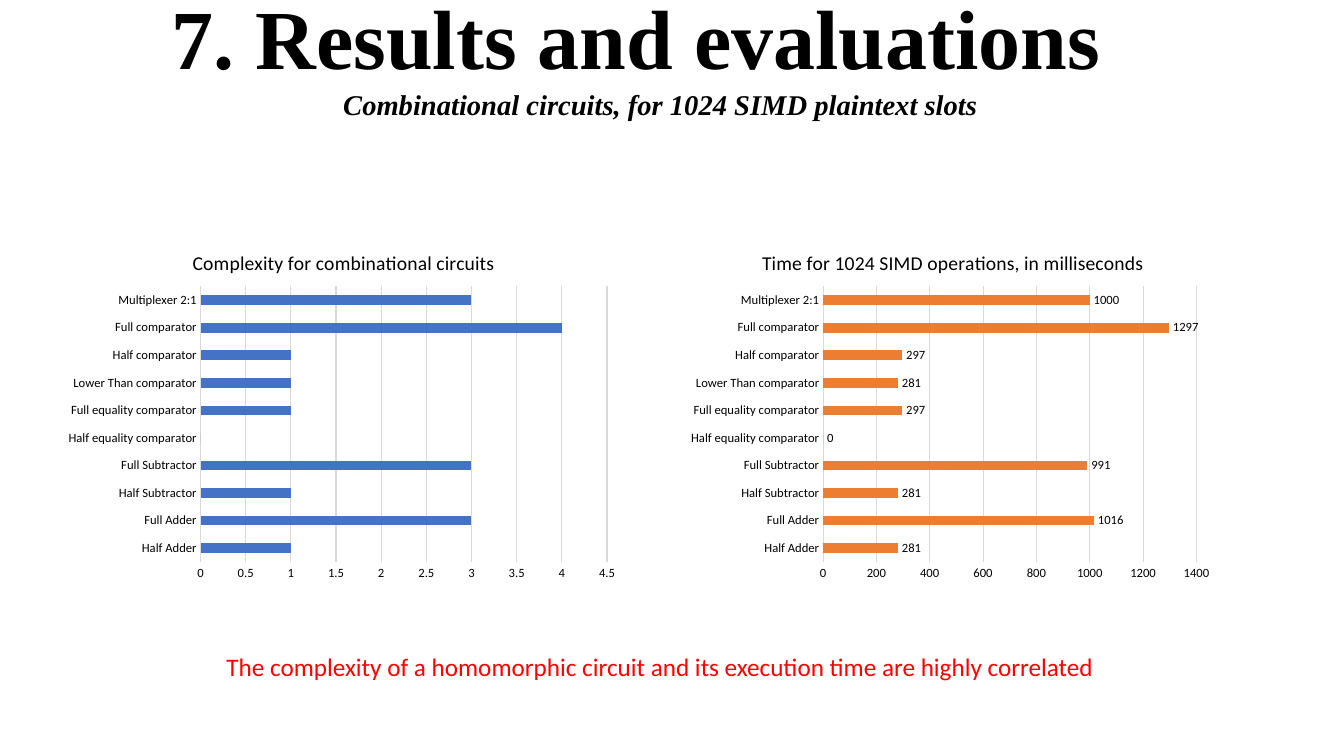
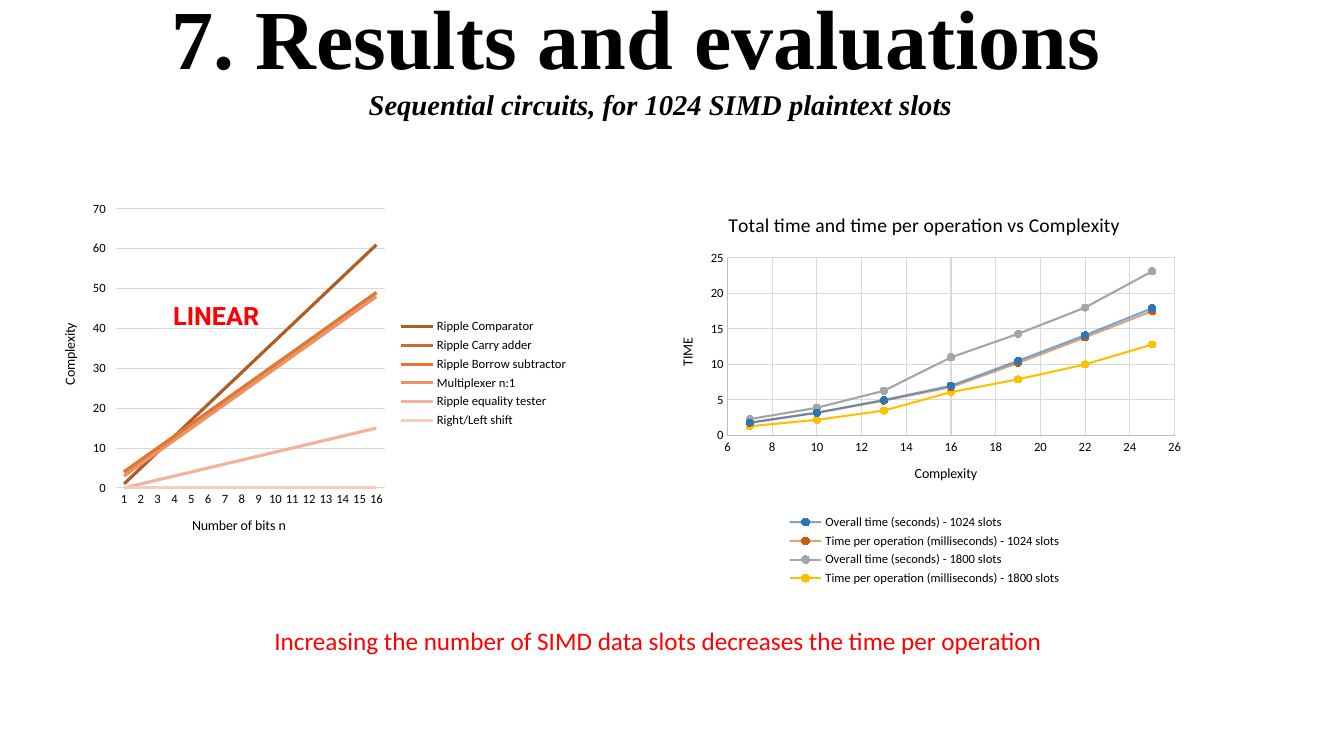
from dataclasses import dataclass
from typing import Optional

import pptx
import pptx.chart.axis
import pptx.chart.chart
import pptx.chart.data
import pptx.dml.color
import pptx.dml.line
import pptx.enum.chart
import pptx.enum.text
import pptx.oxml
import pptx.oxml.ns
import pptx.slide
import pptx.text.text
import pptx.util

Pt = pptx.util.Pt
RGBColor = pptx.dml.color.RGBColor
ChartType = pptx.enum.chart.XL_CHART_TYPE
Tick = pptx.enum.chart.XL_TICK_MARK
Legend = pptx.enum.chart.XL_LEGEND_POSITION
Align = pptx.enum.text.PP_ALIGN
Anchor = pptx.enum.text.MSO_ANCHOR

BLACK = RGBColor(0x00, 0x00, 0x00)
RED = RGBColor(0xFF, 0x00, 0x00)
GRID = RGBColor(0xD9, 0xD9, 0xD9)
AXIS = RGBColor(0xBF, 0xBF, 0xBF)
BLUE = RGBColor(0x44, 0x72, 0xC4)
ORANGE = RGBColor(0xED, 0x7D, 0x31)
SEA = RGBColor(0x2E, 0x75, 0xB6)
RUST = RGBColor(0xC5, 0x5A, 0x11)
GREY = RGBColor(0xA5, 0xA5, 0xA5)
GOLD = RGBColor(0xFF, 0xC0, 0x00)
COPPER_SHADES = [
    RGBColor(0xAF, 0x5C, 0x24), RGBColor(0xCB, 0x6B, 0x2A), RGBColor(0xE2, 0x77, 0x2F),
    RGBColor(0xEF, 0x91, 0x66), RGBColor(0xF3, 0xB2, 0x9A), RGBColor(0xF6, 0xCC, 0xBE),
]

BODY_FONT = "Calibri"
HEADING_FONT = "Times New Roman"
HEADING = "7. Results and evaluations"
CIRCUITS = [
    "Half Adder", "Full Adder", "Half Subtractor", "Full Subtractor",
    "Half equality comparator", "Full equality comparator", "Lower Than comparator",
    "Half comparator", "Full comparator", "Multiplexer 2:1",
]
BITS = range(1, 17)
COMPLEXITIES = range(7, 26, 3)


@dataclass(frozen=True)
class Box:
    left: float
    top: float
    width: float
    height: float

    def lengths(self) -> tuple:
        return Pt(self.left), Pt(self.top), Pt(self.width), Pt(self.height)


@dataclass(frozen=True)
class TextStyle:
    size: float
    font: str = BODY_FONT
    color: RGBColor = BLACK
    bold: bool = False
    italic: bool = False
    align: Align = Align.CENTER
    anchor: Anchor = Anchor.TOP
    spacing: float = 1.0


@dataclass(frozen=True)
class Scale:
    low: float
    high: float
    step: float


@dataclass(frozen=True)
class Measure:
    name: str
    values: list
    color: RGBColor
    opacity: int = 100


@dataclass(frozen=True)
class ChartPlan:
    kind: ChartType
    box: Box
    plot_box: Box
    measures: list
    value_scale: Scale
    title: Optional[str] = None
    category_title: Optional[str] = None
    value_title: Optional[str] = None
    legend: Optional[Legend] = None
    labelled: bool = False


HEADING_STYLE = TextStyle(60, HEADING_FONT, bold=True, anchor=Anchor.BOTTOM, spacing=0.9)
SUBTITLE_STYLE = TextStyle(20.4, HEADING_FONT, bold=True, italic=True,
                           anchor=Anchor.BOTTOM, spacing=0.7)
FINDING_STYLE = TextStyle(18, color=RED)
TREND_STYLE = TextStyle(18, "Roboto", RED, bold=True, align=Align.LEFT)
CHART_TITLE_STYLE = TextStyle(14)
AXIS_TITLE_STYLE = TextStyle(10)


def style_font(font: pptx.text.text.Font, style: TextStyle) -> None:
    font.name = style.font
    font.size = Pt(style.size)
    font.bold = style.bold
    font.italic = style.italic
    font.color.rgb = style.color


def write(frame: pptx.text.text.TextFrame, text: str, style: TextStyle) -> None:
    frame.text = text
    paragraph = frame.paragraphs[0]
    paragraph.alignment = style.align
    paragraph.line_spacing = style.spacing
    style_font(paragraph.runs[0].font, style)


def fill_frame(frame: pptx.text.text.TextFrame, text: str, style: TextStyle) -> None:
    frame.auto_size = pptx.enum.text.MSO_AUTO_SIZE.NONE
    frame.word_wrap = True
    frame.vertical_anchor = style.anchor
    write(frame, text, style)


def add_text(slide: pptx.slide.Slide, box: Box, text: str, style: TextStyle) -> None:
    fill_frame(slide.shapes.add_textbox(*box.lengths()).text_frame, text, style)


def style_line(line: pptx.dml.line.LineFormat, color: RGBColor, width: float) -> None:
    line.color.rgb = color
    line.width = Pt(width)


def style_axis(axis: pptx.chart.axis._BaseAxis, title: Optional[str], grid: bool,
               line_color: Optional[RGBColor], scale: Optional[Scale]) -> None:
    axis.major_tick_mark = axis.minor_tick_mark = Tick.NONE
    style_font(axis.tick_labels.font, TextStyle(9))
    axis.has_major_gridlines = grid
    if grid:
        style_line(axis.major_gridlines.format.line, GRID, 0.75)
    if line_color is None:
        axis.format.line.fill.background()
    else:
        style_line(axis.format.line, line_color, 0.75)
    if scale:
        axis.minimum_scale, axis.maximum_scale = scale.low, scale.high
        axis.major_unit = scale.step
    axis.has_title = title is not None
    if title:
        write(axis.axis_title.text_frame, title, AXIS_TITLE_STYLE)


def place_plot(chart: pptx.chart.chart.Chart, box: Box) -> None:
    plot_area = chart.element.xpath("//c:plotArea")[0]
    for layout in plot_area.xpath("c:layout"):
        plot_area.remove(layout)
    plot_area.insert(0, pptx.oxml.parse_xml(
        f'<c:layout {pptx.oxml.ns.nsdecls("c")}><c:manualLayout><c:layoutTarget val="inner"/>'
        f'<c:xMode val="edge"/><c:yMode val="edge"/><c:x val="{box.left}"/><c:y val="{box.top}"/>'
        f'<c:w val="{box.width}"/><c:h val="{box.height}"/></c:manualLayout></c:layout>'))


def style_measures(chart: pptx.chart.chart.Chart, plan: ChartPlan) -> None:
    for measure, series in zip(plan.measures, chart.plots[0].series):
        if plan.kind == ChartType.BAR_CLUSTERED:
            series.format.fill.solid()
            series.format.fill.fore_color.rgb = measure.color
        elif plan.kind == ChartType.LINE:
            style_line(series.format.line, measure.color, 2.25)
            series.smooth = False
        else:
            style_line(series.format.line, measure.color, 1.5)
            series.marker.style = pptx.enum.chart.XL_MARKER_STYLE.CIRCLE
            series.marker.size = 5
            series.marker.format.fill.solid()
            series.marker.format.fill.fore_color.rgb = measure.color
            style_line(series.marker.format.line, measure.color, 0.75)
    line_colors = chart.element.xpath("//c:ser/c:spPr/a:ln//a:srgbClr")
    for measure, line_color in zip(plan.measures, line_colors):
        if measure.opacity < 100:
            alpha = line_color.makeelement(pptx.oxml.ns.qn("a:alpha"),
                                           {"val": str(measure.opacity * 1000)})
            line_color.append(alpha)


def chart_data(plan: ChartPlan) -> pptx.chart.data._BaseChartData:
    if plan.kind == ChartType.XY_SCATTER_LINES:
        data = pptx.chart.data.XyChartData()
        for measure in plan.measures:
            points = data.add_series(measure.name)
            for complexity, time in zip(COMPLEXITIES, measure.values):
                points.add_data_point(complexity, time)
        return data
    data = pptx.chart.data.CategoryChartData()
    data.categories = CIRCUITS if plan.kind == ChartType.BAR_CLUSTERED else map(str, BITS)
    for measure in plan.measures:
        data.add_series(measure.name, measure.values)
    return data


def add_chart(slide: pptx.slide.Slide, plan: ChartPlan) -> None:
    chart = slide.shapes.add_chart(plan.kind, *plan.box.lengths(), chart_data(plan)).chart
    style_font(chart.font, TextStyle(10))
    chart.has_title = plan.title is not None
    if plan.title:
        write(chart.chart_title.text_frame, plan.title, CHART_TITLE_STYLE)
    chart.has_legend = plan.legend is not None
    if plan.legend is not None:
        chart.legend.position = plan.legend
        chart.legend.include_in_layout = False
        style_font(chart.legend.font, TextStyle(9))

    scatter = plan.kind == ChartType.XY_SCATTER_LINES
    style_axis(chart.category_axis, plan.category_title, scatter, AXIS if scatter else GRID,
               Scale(6, 26, 2) if scatter else None)
    style_axis(chart.value_axis, plan.value_title, True, AXIS if scatter else None,
               plan.value_scale)
    if plan.value_title:
        turned = chart.value_axis.axis_title.element.xpath(".//a:bodyPr")[0]
        turned.set("rot", "-5400000")
        turned.set("vert", "horz")
    if plan.kind == ChartType.LINE:
        chart.value_axis.major_tick_mark = Tick.OUTSIDE

    plot = chart.plots[0]
    plot.vary_by_categories = False
    if plan.kind == ChartType.BAR_CLUSTERED:
        plot.gap_width = 182
    if plan.labelled:
        plot.has_data_labels = True
        plot.data_labels.show_value = True
        plot.data_labels.position = pptx.enum.chart.XL_LABEL_POSITION.OUTSIDE_END
        style_font(plot.data_labels.font, TextStyle(9))
    style_measures(chart, plan)
    place_plot(chart, plan.plot_box)


def add_results_slide(deck, subtitle: str, plans: list, finding: str,
                      finding_box: Box) -> pptx.slide.Slide:
    slide = deck.slides.add_slide(deck.slide_layouts[5])
    heading = slide.shapes.title
    heading.left, heading.top, heading.width, heading.height = Box(0, -9.4, 908.6, 75.6).lengths()
    fill_frame(heading.text_frame, HEADING, HEADING_STYLE)
    add_text(slide, Box(198, 63.4, 547.2, 25.9), subtitle, SUBTITLE_STYLE)
    for plan in plans:
        add_chart(slide, plan)
    add_text(slide, finding_box, finding, FINDING_STYLE)
    return slide


COMBINATIONAL = [
    ChartPlan(ChartType.BAR_CLUSTERED, Box(487.4, 166.3, 386.6, 255.6),
              Box(0.26, 0.15, 0.69, 0.77),
              [Measure("Series 1", [281, 1016, 281, 991, 0, 297, 281, 297, 1297, 1000], ORANGE)],
              Scale(0, 1400, 200), "Time for 1024 SIMD operations, in milliseconds",
              labelled=True),
    ChartPlan(ChartType.BAR_CLUSTERED, Box(41, 166.3, 409, 255.6),
              Box(0.25, 0.15, 0.71, 0.77),
              [Measure("Series 1", [1, 3, 1, 3, 0, 1, 1, 1, 4, 3], BLUE)],
              Scale(0, 4.5, 0.5), "Complexity for combinational circuits"),
]
GROWTH = [
    ("Ripple Comparator", 4, -3), ("Ripple Carry adder", 3, 1),
    ("Ripple Borrow subtractor", 3, 1), ("Multiplexer n:1", 3, 0),
    ("Ripple equality tester", 1, -1), ("Right/Left shift", 0, 0),
]
SEQUENTIAL = [
    ChartPlan(ChartType.LINE, Box(28.8, 139, 384.5, 255.6), Box(0.14, 0.04, 0.5, 0.78),
              [Measure(name, [slope * bits + offset for bits in BITS], shade)
               for (name, slope, offset), shade in zip(GROWTH, COPPER_SHADES)],
              Scale(0, 70, 10), category_title="Number of bits n", value_title="Complexity",
              legend=Legend.RIGHT),
    ChartPlan(ChartType.XY_SCATTER_LINES, Box(470.2, 139, 380.2, 282.2),
              Box(0.13, 0.16, 0.84, 0.45),
              [Measure("Overall time (seconds) - 1024 slots",
                       [1.8, 3.2, 5, 7, 10.5, 14.1, 17.9], SEA, 63),
               Measure("Time per operation (milliseconds) - 1024 slots",
                       [1.8, 3.2, 4.9, 6.8, 10.2, 13.8, 17.5], RUST, 55),
               Measure("Overall time (seconds) - 1800 slots",
                       [2.3, 3.9, 6.3, 11, 14.3, 18, 23.1], GREY),
               Measure("Time per operation (milliseconds) - 1800 slots",
                       [1.3, 2.2, 3.5, 6.1, 7.9, 10, 12.8], GOLD)],
              Scale(0, 25, 5), "Total time and time per operation vs Complexity",
              "Complexity", "TIME", Legend.BOTTOM),
]


def main() -> None:
    deck = pptx.Presentation()
    deck.slide_width, deck.slide_height = Pt(960), Pt(540)
    add_results_slide(
        deck, "Combinational circuits, for 1024 SIMD plaintext slots", COMBINATIONAL,
        "The complexity of a homomorphic circuit and its execution time are highly correlated",
        Box(131, 461.5, 681, 28.8))
    sequential = add_results_slide(
        deck, "Sequential circuits, for 1024 SIMD plaintext slots", SEQUENTIAL,
        "Increasing the number of SIMD data slots decreases the time per operation",
        Box(129.6, 442.8, 681, 28.8))
    add_text(sequential, Box(116.6, 211, 80.6, 30.2), "LINEAR", TREND_STYLE)
    deck.save("out.pptx")


if __name__ == "__main__":
    main()
